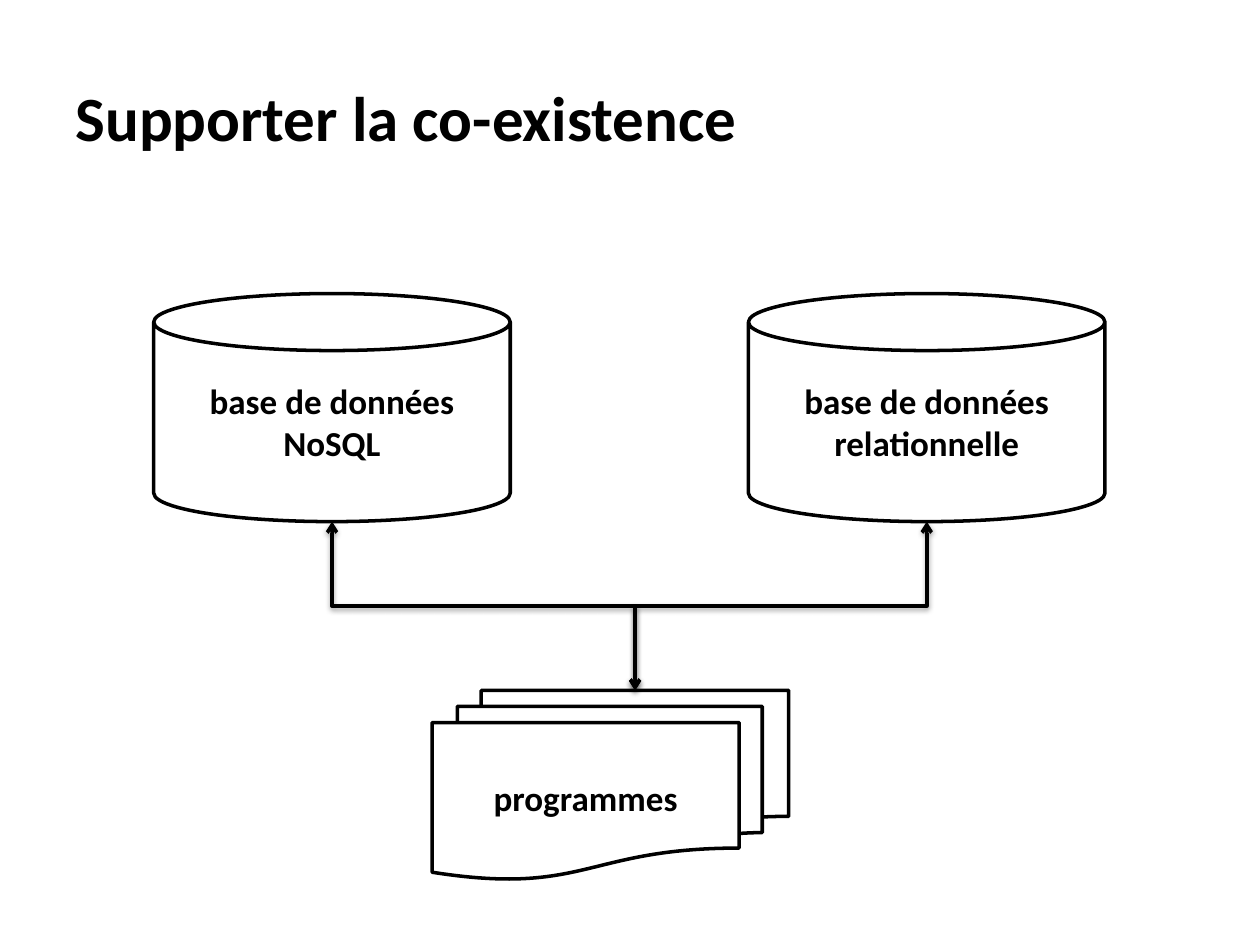
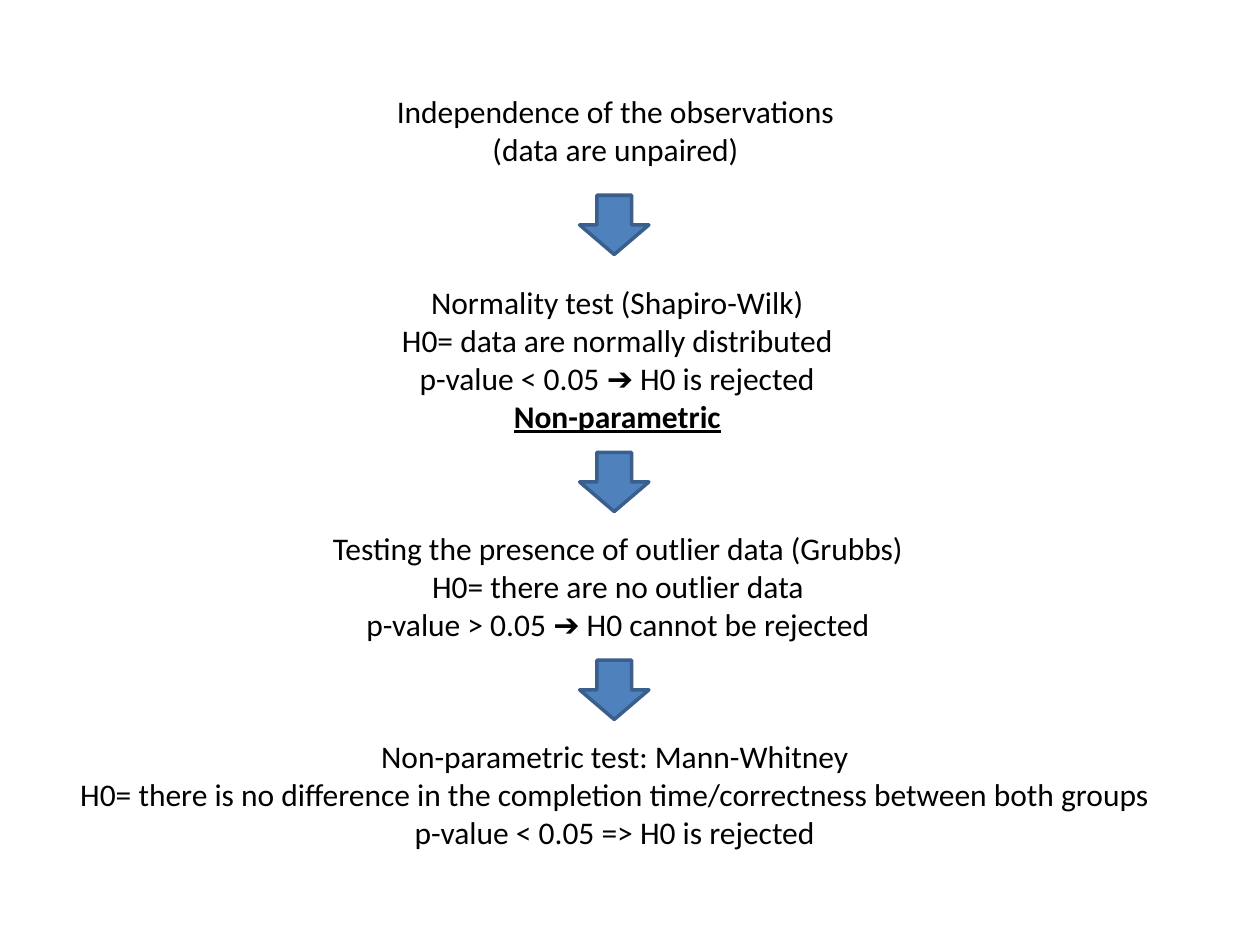
from lxml.etree import SubElement
from pptx import Presentation
from pptx.dml.color import RGBColor
from pptx.enum.shapes import MSO_CONNECTOR as Link, MSO_SHAPE as Preset
from pptx.enum.text import MSO_ANCHOR as Anchor, PP_ALIGN as Align
from pptx.oxml.ns import qn
from pptx.util import Inches, Pt

BLACK, WHITE, BLUE, DARK_BLUE = "000000", "FFFFFF", "4F81BD", "3A5F8C"
FONT = "Calibri"
ARROW = "➔"


def colour(hex_code):
    return RGBColor.from_string(hex_code)


def write(frame, lines, size, align, bold_lines=(), underlined_lines=()):
    for index, line in enumerate(lines):
        paragraph = frame.paragraphs[0] if index == 0 else frame.add_paragraph()
        paragraph.alignment = align
        run = paragraph.add_run()
        run.text = line
        run.font.name = FONT
        run.font.size = Pt(size)
        run.font.color.rgb = colour(BLACK)
        run.font.bold = line in bold_lines
        run.font.underline = line in underlined_lines


def add_preset(slide, preset, box, fill, outline):
    shape = slide.shapes.add_shape(preset, *map(Inches, box))
    shape.shadow.inherit = False
    shape.fill.solid()
    shape.fill.fore_color.rgb = colour(fill)
    shape.line.color.rgb = colour(outline)
    shape.line.width = Pt(2)
    return shape


def add_title(slide, wording):
    title = slide.shapes.title
    title.left, title.top, title.width, title.height = map(Inches, (0.5, 0.3, 9, 1.25))
    title.text_frame.vertical_anchor = Anchor.MIDDLE
    write(title.text_frame, [wording], 36, Align.LEFT, bold_lines=[wording])


def add_component(slide, preset, box, label):
    component = add_preset(slide, preset, box, WHITE, BLACK)
    frame = component.text_frame
    frame.word_wrap = True
    frame.vertical_anchor = Anchor.MIDDLE
    write(frame, [label], 20, Align.CENTER, bold_lines=[label])


def add_access_link(slide, start, end):
    (x1, y1), (x2, y2) = start, end
    mid_x, mid_y = (x1 + x2) / 2, (y1 + y2) / 2
    half_w, half_h = (y2 - y1) / 2, abs(x2 - x1) / 2
    from_left = x1 < x2
    side = -1 if from_left else 1
    link = slide.shapes.add_connector(
        Link.ELBOW,
        Inches(mid_x - side * half_w), Inches(mid_y - half_h),
        Inches(mid_x + side * half_w), Inches(mid_y + half_h))
    link.line.color.rgb = colour(BLACK)
    link.line.width = Pt(2)
    properties = link._element.spPr
    properties.find(qn("a:xfrm")).set("rot", str((270 if from_left else 90) * 60000))
    outline = properties.find(qn("a:ln"))
    for tip in ("a:headEnd", "a:tailEnd"):
        SubElement(outline, qn(tip), type="arrow")
    effects = SubElement(properties, qn("a:effectLst"))
    shadow = SubElement(effects, qn("a:outerShdw"), blurRad=str(Pt(3.1)),
                        dist=str(Pt(1.6)), dir="5400000", rotWithShape="0")
    tint = SubElement(shadow, qn("a:srgbClr"), val=BLACK)
    SubElement(tint, qn("a:alpha"), val="38000")


def build_coexistence(slide):
    add_title(slide, "Supporter la co-existence")
    width, height, top = 2.83, 1.81, 2.33
    databases = [(1.22, "base de données NoSQL"), (5.94, "base de données relationnelle")]
    for left, label in databases:
        add_component(slide, Preset.CAN, (left, top, width, height), label)
    programs_top = 5.48
    add_component(slide, Preset.FLOWCHART_MULTIDOCUMENT,
                  (3.43, programs_top, width, 1.5), "programmes")
    for left, _ in databases:
        add_access_link(slide, (left + width / 2, top + height), (5.04, programs_top))


def add_step(slide, box, lines):
    frame = slide.shapes.add_textbox(*map(Inches, box)).text_frame
    frame.word_wrap = False
    verdict = ["Non-parametric"]
    write(frame, lines, 18, Align.CENTER, verdict, verdict)


def build_test_sequence(slide):
    steps = [
        ((3.03, 0.68, 3.71, 0.71),
         ["Independence of the observations", "(data are unpaired)"]),
        ((3.07, 2.2, 3.66, 1.31),
         ["Normality test (Shapiro-Wilk)", "H0= data are normally distributed",
          f"p-value < 0.05 {ARROW} H0 is rejected", "Non-parametric"]),
        ((2.53, 4.15, 4.75, 1.01),
         ["Testing the presence of outlier data (Grubbs)", "H0= there are no outlier data",
          f"p-value > 0.05 {ARROW} H0 cannot be rejected"]),
        ((0.48, 5.8, 8.8, 1.01),
         ["Non-parametric test: Mann-Whitney",
          "H0= there is no difference in the completion time/correctness between both groups",
          "p-value < 0.05 => H0 is rejected"]),
    ]
    for box, lines in steps:
        add_step(slide, box, lines)
    for top in (1.55, 3.59, 5.24):
        add_preset(slide, Preset.DOWN_ARROW, (4.6, top, 0.55, 0.47), BLUE, DARK_BLUE)


def main():
    deck = Presentation()
    deck.slide_width, deck.slide_height = Inches(10), Inches(7.5)
    title_only, blank = deck.slide_layouts[5], deck.slide_layouts[6]
    build_coexistence(deck.slides.add_slide(title_only))
    build_test_sequence(deck.slides.add_slide(blank))
    deck.save("out.pptx")


if __name__ == "__main__":
    main()
